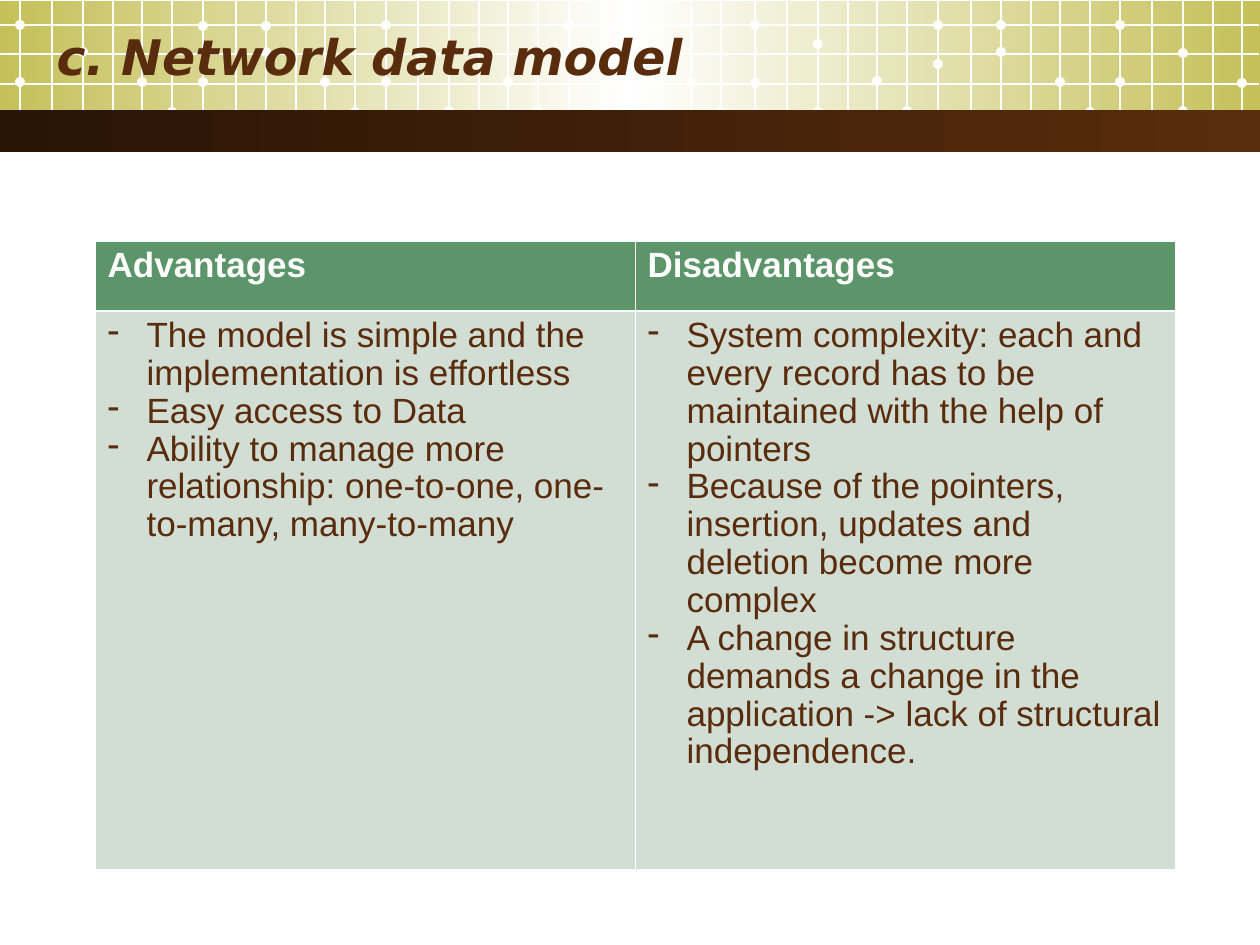
from copy import deepcopy

from lxml.etree import SubElement
from pptx import Presentation
from pptx.dml.color import RGBColor
from pptx.enum.shapes import MSO_CONNECTOR as CONN, MSO_SHAPE as SHAPE
from pptx.enum.text import MSO_ANCHOR as ANCHOR, PP_ALIGN as ALIGN
from pptx.oxml.ns import qn
from pptx.util import Emu, Pt

SCALE = 914400 / 126
WHITE, BROWN, OLIVE = "FFFFFF", "592C0D", "C5C059"
GREEN, PALE, DARK = "5B9569", "D2DDD4", "291406"
DOT = 10
TILE_STARTS = [20, 386, 755, 1120]
LINE_OFFSETS = [0, 32, 63, 93, 122, 152, 183, 216, 246, 276, 305, 335]
LINE_COUNTS = [12, 12, 12, 5]
ROW_LINES = [25, 54, 84, 112]
DOT_COLUMNS = [0, 0, 2, 2, 4, 5, 6, 6, 8, 8, 10, 11]
DOT_HEIGHTS = [
    [82, 25, 52, 115, 82, 112, 82, 26, 52, 26, 82, 112],
    [82, 25, 52, 111, 82, 111, 54, 25, 53, 25, 82, 112],
    [83, 25, 44, 112, 81, 111, 64, 25, 52, 25, 82, 112],
    [82, 25, 53, 111, 83],
]
TITLE_FONT = {"name": "DejaVu Sans", "size": Pt(28), "bold": True, "italic": True}
HEADER_FONT = {"name": "Arial", "size": Pt(20), "bold": True}
BODY_FONT = {"name": "Arial", "size": Pt(20), "bold": False}
COLUMNS = {
    "Advantages": [
        "The model is simple and the implementation is effortless",
        "Easy access to Data",
        "Ability to manage more relationship: one-to-one, one-to-many, many-to-many",
    ],
    "Disadvantages": [
        "System complexity: each and every record has to be maintained with the help of pointers",
        "Because of the pointers, insertion, updates and deletion become more complex",
        "A change in structure demands a change in the application -> lack of structural independence.",
    ],
}


def px(n):
    return Emu(round(n * SCALE))


def rgb(value):
    return RGBColor.from_string(value)


def add_shape(shapes, kind, *box):
    sp = shapes.add_shape(kind, *map(px, box))
    sp.shadow.inherit = False
    sp.line.fill.background()
    return sp


def add_gradient(shapes, box, colors):
    sp = add_shape(shapes, SHAPE.RECTANGLE, *box)
    sp.fill.gradient()
    sp.fill.gradient_angle = 0
    stops = sp._element.spPr.find(".//" + qn("a:gsLst"))
    for _ in colors[2:]:
        stops.append(deepcopy(stops[0]))
    for i, (stop, color) in enumerate(zip(sp.fill.gradient_stops, colors)):
        stop.position = i / (len(colors) - 1)
        stop.color.rgb = rgb(color)


def add_dot(shapes, x, y):
    sp = add_shape(shapes, SHAPE.OVAL, x - DOT / 2, y - DOT / 2, DOT, DOT)
    sp.fill.solid()
    sp.fill.fore_color.rgb = rgb(WHITE)


def add_line(shapes, *ends):
    line = shapes.add_connector(CONN.STRAIGHT, *map(px, ends))
    line.line.color.rgb = rgb(WHITE)
    line.line.width = Pt(0.75)
    SubElement(line._element.spPr, qn("a:effectLst"))


def add_lattice(shapes):
    lattice = shapes.add_group_shape().shapes
    for start, count, heights in zip(TILE_STARTS, LINE_COUNTS, DOT_HEIGHTS):
        for offset in LINE_OFFSETS[:count]:
            add_line(lattice, start + offset, 0, start + offset, 139)
        for column, y in zip(DOT_COLUMNS, heights):
            add_dot(lattice, start + LINE_OFFSETS[column], y)
    for y in ROW_LINES:
        add_line(lattice, -1, y, 1259, y)


def add_run(p, text, font, color):
    r = p.add_run()
    r.text = text
    for name, value in font.items():
        setattr(r.font, name, value)
    r.font.color.rgb = rgb(color)


def set_title(slide, text):
    title = slide.shapes.title
    slide.shapes._spTree.append(title._element)
    title.left, title.top, title.width, title.height = map(px, (44, 6, 1152, 100))
    tf = title.text_frame
    tf.vertical_anchor = ANCHOR.MIDDLE
    tf.word_wrap = True
    p = tf.paragraphs[0]
    p.alignment = ALIGN.LEFT
    add_run(p, text, TITLE_FONT, BROWN)


def add_bullet(p):
    pPr = p._p.get_or_add_pPr()
    pPr.set("marL", str(px(39)))
    pPr.set("indent", str(px(-39)))
    SubElement(SubElement(pPr, qn("a:buClr")), qn("a:srgbClr"), val=BROWN)
    SubElement(pPr, qn("a:buChar"), char="-")


def style_cell(cell, fill, top, bottom):
    tcPr = cell._tc.get_or_add_tcPr()
    for side, width in {"L": 0.45, "R": 0.45, "T": top, "B": bottom}.items():
        ln = SubElement(tcPr, qn("a:ln" + side), w=str(Pt(width)))
        SubElement(SubElement(ln, qn("a:solidFill")), qn("a:srgbClr"), val=WHITE)
    cell.fill.solid()
    cell.fill.fore_color.rgb = rgb(fill)


def fill_cell(cell, texts, font, color, bullets=False):
    tf = cell.text_frame
    for i, text in enumerate(texts):
        p = tf.add_paragraph() if i else tf.paragraphs[0]
        if bullets:
            add_bullet(p)
        p.line_spacing = 0.97
        add_run(p, text, font, color)


def add_comparison(shapes):
    table = shapes.add_table(2, len(COLUMNS), *map(px, (95, 241, 1080, 628))).table
    for row, height in zip(table.rows, (70, 558)):
        row.height = px(height)
    for i, (heading, points) in enumerate(COLUMNS.items()):
        header, body = table.cell(0, i), table.cell(1, i)
        style_cell(header, GREEN, 0.45, 1.47)
        fill_cell(header, [heading], HEADER_FONT, WHITE)
        style_cell(body, PALE, 1.47, 0.45)
        fill_cell(body, points, BODY_FONT, BROWN, bullets=True)


def main():
    prs = Presentation()
    prs.slide_width, prs.slide_height = px(1260), px(945)
    slide = prs.slides.add_slide(prs.slide_layouts[5])
    add_gradient(slide.shapes, (0, 1, 1260, 129), [OLIVE, WHITE, OLIVE])
    add_lattice(slide.shapes)
    add_gradient(slide.shapes, (0, 110, 1260, 42), [DARK, BROWN])
    set_title(slide, "c. Network data model")
    add_comparison(slide.shapes)
    prs.save("out.pptx")


if __name__ == "__main__":
    main()
